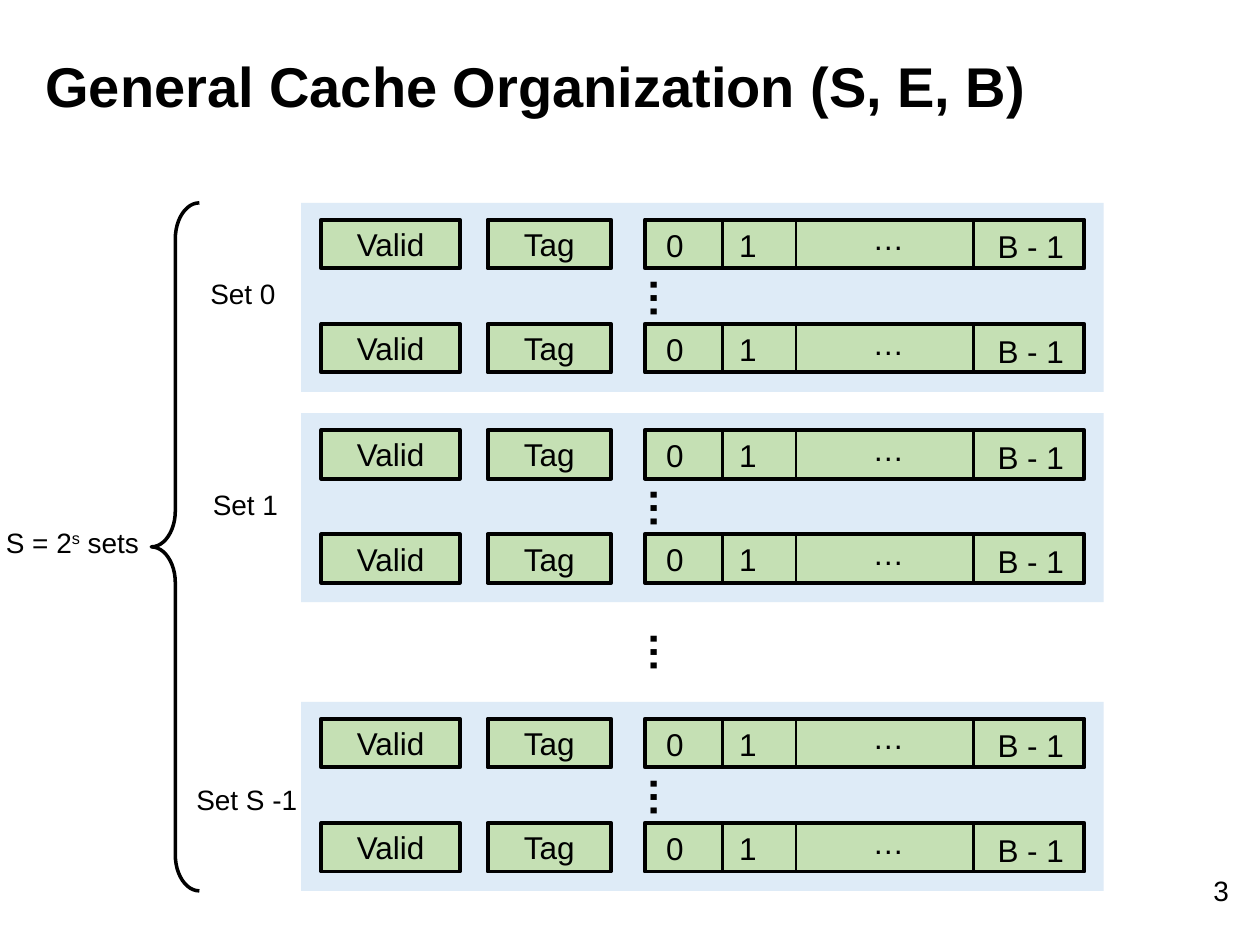
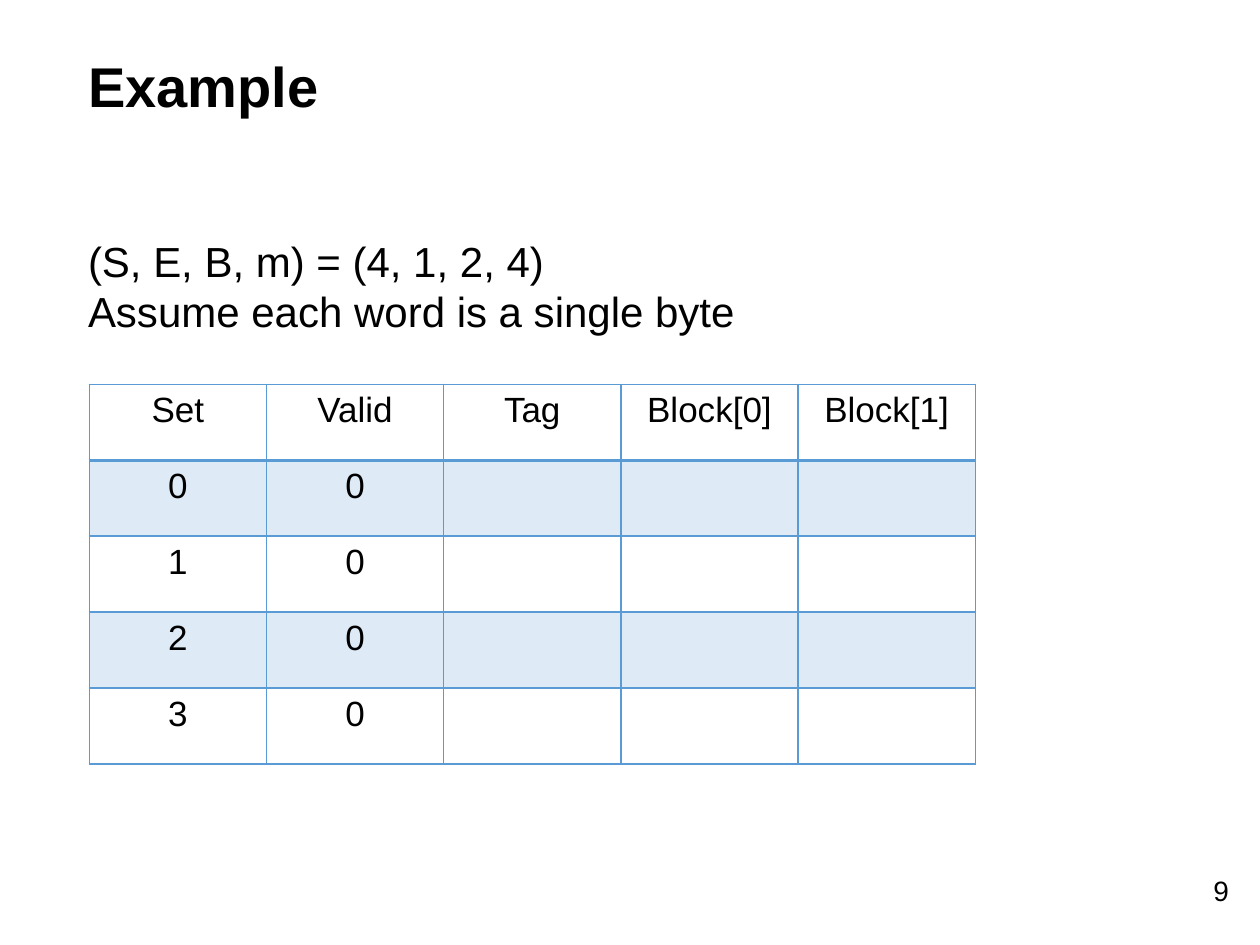
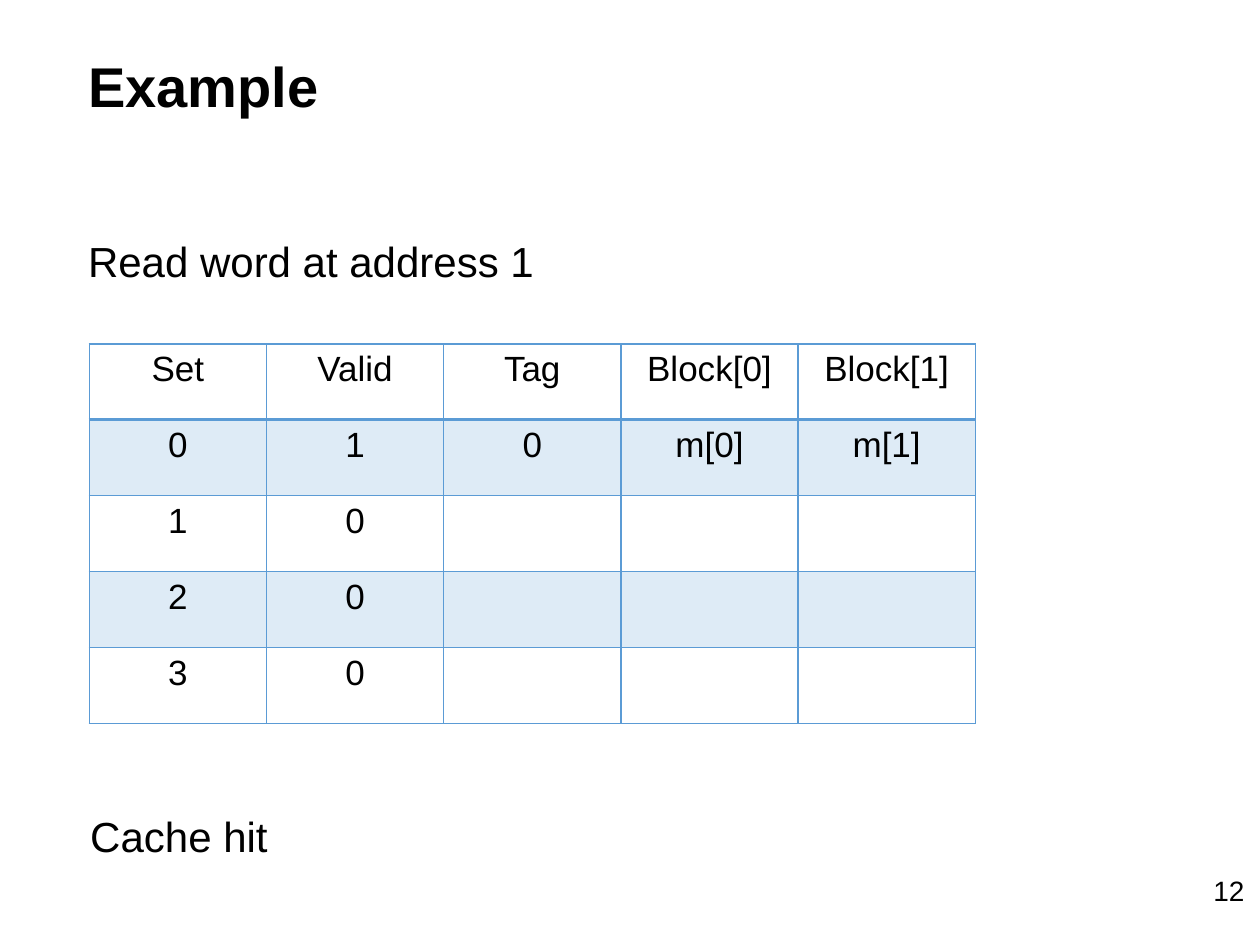
import dataclasses

import lxml.etree
import pptx
import pptx.dml.color
import pptx.enum.shapes
import pptx.enum.text
import pptx.oxml.ns
import pptx.util

Cm = pptx.util.Cm
Pt = pptx.util.Pt
qn = pptx.oxml.ns.qn
ALIGN = pptx.enum.text.PP_ALIGN
ANCHOR = pptx.enum.text.MSO_ANCHOR
SHAPE = pptx.enum.shapes.MSO_SHAPE


@dataclasses.dataclass(frozen=True)
class Theme:
    font: str = "Arial"
    ink: str = "000000"
    set_fill: str = "DEEBF7"
    cell_fill: str = "C5E0B4"
    accent: str = "5B9BD5"
    band_opacity: int = 20
    title: int = 32
    body: int = 24
    table: int = 20
    cell: int = 18
    label: int = 16
    outline: float = 2.25
    brace: float = 2
    divider: float = 1.5


@dataclasses.dataclass(frozen=True)
class Box:
    left: float
    top: float
    width: float
    height: float

    def inside(self, left, top, width, height):
        return Box(self.left + left, self.top + top, width, height)

    def lengths(self):
        return Cm(self.left), Cm(self.top), Cm(self.width), Cm(self.height)


THEME = Theme()
TITLE_ONLY, TITLE_AND_CONTENT = 5, 1
PAGE_NUMBER = Box(24.21, 17.48, 1.19, 0.94)


def rgb(value):
    return pptx.dml.color.RGBColor.from_string(value)


def write_text(frame, text, size, bold=False, align=ALIGN.LEFT,
               anchor=ANCHOR.TOP, wrap=True):
    """Each line is a paragraph; text between carets is raised."""
    frame.word_wrap = wrap
    frame.auto_size = pptx.enum.text.MSO_AUTO_SIZE.NONE
    frame.vertical_anchor = anchor
    for line_index, line in enumerate(text.split("\n")):
        paragraph = frame.add_paragraph() if line_index else frame.paragraphs[0]
        paragraph.alignment = align
        paragraph.space_before = Pt(0)
        properties = paragraph._p.get_or_add_pPr()
        properties.set("marL", "0")
        properties.set("indent", "0")
        lxml.etree.SubElement(properties, qn("a:buNone"))
        for run_index, part in enumerate(line.split("^")):
            run = paragraph.add_run()
            run.text = part
            run.font.name = THEME.font
            run.font.size = Pt(size)
            run.font.bold = bold
            run.font.color.rgb = rgb(THEME.ink)
            if run_index % 2:
                run.font._element.set("baseline", "30000")


def add_label(shapes, box, text, size, rotation=0, **text_format):
    label = shapes.add_textbox(*box.lengths())
    label.rotation = rotation
    write_text(label.text_frame, text, size, **text_format)


def add_vertical_dots(shapes, box):
    add_label(shapes, box, "…", THEME.body, rotation=270, bold=True)


def add_rectangle(shapes, box, fill, outlined=True):
    rectangle = shapes.add_shape(SHAPE.RECTANGLE, *box.lengths())
    rectangle.shadow.inherit = False
    rectangle.fill.solid()
    rectangle.fill.fore_color.rgb = rgb(fill)
    if outlined:
        rectangle.line.color.rgb = rgb(THEME.ink)
        rectangle.line.width = Pt(THEME.outline)
    else:
        rectangle.line.fill.background()
    return rectangle


def add_divider(shapes, box):
    left, top, width, height = box.lengths()
    divider = shapes.add_connector(
        pptx.enum.shapes.MSO_CONNECTOR.STRAIGHT, left, top, left + width, top + height)
    divider.line.color.rgb = rgb(THEME.ink)
    divider.line.width = Pt(THEME.divider)
    lxml.etree.SubElement(divider._element.spPr, qn("a:effectLst"))


def add_block(shapes, box):
    add_rectangle(shapes, box, THEME.cell_fill)
    for left, top in ((1.57, 0), (3.05, 0), (6.63, 0.03)):
        add_divider(shapes, box.inside(left, top, 0, box.height))
    for text, left, top, width in (("0", 0.18, 0, 1.37), ("1", 1.65, 0, 1.37),
                                   ("…", 4.34, -0.13, 1.37), ("B - 1", 6.86, 0.03, 1.85)):
        add_label(shapes, box.inside(left, top, width, 1.02), text, THEME.cell)


def add_cache_line(shapes, box):
    for text, left, width in (("Valid", 0, 2.79), ("Tag", 3.35, 2.49)):
        field = add_rectangle(shapes, box.inside(left, 0, width, box.height), THEME.cell_fill)
        write_text(field.text_frame, text, THEME.cell, align=ALIGN.CENTER,
                   anchor=ANCHOR.MIDDLE)
    add_block(shapes, box.inside(6.52, 0, 8.86, box.height))


def add_cache_set(slide, box):
    shapes = slide.shapes.add_group_shape().shapes
    add_rectangle(shapes, box, THEME.set_fill, outlined=False)
    for top in (0.34, 2.44):
        add_cache_line(shapes, box.inside(0.41, top, 15.38, 0.98))
    add_vertical_dots(shapes, box.inside(6.15, 1.27, 1.37, 1.27))


def add_brace(slide, box):
    brace = slide.shapes.add_shape(SHAPE.LEFT_BRACE, *box.lengths())
    brace.adjustments[0] = 0.75
    brace.adjustments[1] = 0.5
    brace.shadow.inherit = False
    brace.fill.background()
    brace.line.color.rgb = rgb(THEME.ink)
    brace.line.width = Pt(THEME.brace)


def add_cell_borders(cell, **widths):
    properties = cell._tc.get_or_add_tcPr()
    for index, (side, width) in enumerate(widths.items()):
        border = lxml.etree.Element(qn("a:ln" + side), w=str(Pt(width)))
        fill = lxml.etree.SubElement(border, qn("a:solidFill"))
        lxml.etree.SubElement(fill, qn("a:srgbClr"), val=THEME.accent)
        properties.insert(index, border)


def fill_band(cell):
    cell.fill.solid()
    cell.fill.fore_color.rgb = rgb(THEME.accent)
    color = cell._tc.tcPr.find(".//" + qn("a:srgbClr"))
    lxml.etree.SubElement(color, qn("a:alpha"), val=str(THEME.band_opacity * 1000))


def add_cache_table(slide, box, rows):
    table = slide.shapes.add_table(len(rows), len(rows[0]), *box.lengths()).table
    table.first_row = False
    table.horz_banding = False
    for row_index, values in enumerate(rows):
        for column_index, value in enumerate(values):
            cell = table.cell(row_index, column_index)
            if value:
                write_text(cell.text_frame, value, THEME.table, align=ALIGN.CENTER)
            if row_index % 2:
                fill_band(cell)
            else:
                cell.fill.background()
            add_cell_borders(cell, L=1, R=1, T=2 if row_index == 1 else 1,
                             B=2 if row_index == 0 else 1)


def place_placeholder(placeholder, box, text, size, **text_format):
    placeholder.left, placeholder.top, placeholder.width, placeholder.height = box.lengths()
    write_text(placeholder.text_frame, text, size, **text_format)


def add_slide(presentation, layout, title, title_left, number):
    slide = presentation.slides.add_slide(presentation.slide_layouts[layout])
    place_placeholder(slide.shapes.title, Box(title_left, 0.66, 21.08, 2.11), title,
                      THEME.title, bold=True, anchor=ANCHOR.MIDDLE)
    add_label(slide.shapes, PAGE_NUMBER, number, THEME.label)
    return slide


def add_organization_slide(presentation, number):
    slide = add_slide(presentation, TITLE_ONLY, "General Cache Organization (S, E, B)",
                      0.66, number)
    add_brace(slide, Box(3.05, 4.09, 0.97, 13.87))
    for top in (4.09, 8.33, 14.15):
        add_cache_set(slide, Box(6.07, top, 16.18, 3.81))
    add_vertical_dots(slide.shapes, Box(12.22, 12.5, 1.37, 1.27))
    for text, left, top, width in (("S = 2^s^ sets", -0.13, 10.46, 3.38),
                                   ("Set 0", 3.99, 5.46, 1.88),
                                   ("Set 1", 4.04, 9.7, 1.85),
                                   ("Set S -1", 3.71, 15.65, 2.57)):
        add_label(slide.shapes, Box(left, top, width, 0.94), text, THEME.label, wrap=False)


def add_example_slide(presentation, number, statement, body_height, table_top,
                      first_set, result=None):
    slide = add_slide(presentation, TITLE_AND_CONTENT, "Example", 1.52, number)
    place_placeholder(slide.placeholders[1], Box(1.52, 4.62, 21.44, body_height),
                      statement, THEME.body)
    rows = [("Set", "Valid", "Tag", "Block[0]", "Block[1]"), first_set]
    rows += [(str(index), "0", "", "", "") for index in range(1, 4)]
    add_cache_table(slide, Box(1.8, table_top, 17.86, 7.65), rows)
    if result:
        add_label(slide.shapes, Box(1.57, 16.21, 21.44, 1.27), result, THEME.body)


def main():
    presentation = pptx.Presentation()
    presentation.slide_width = Cm(25.4)
    presentation.slide_height = Cm(19.05)
    add_organization_slide(presentation, "3")
    add_example_slide(presentation, "9",
                      "(S, E, B, m) = (4, 1, 2, 4)\nAssume each word is a single byte",
                      2.31, 7.75, ("0", "0", "", "", ""))
    add_example_slide(presentation, "12", "Read word at address 1", 1.27, 6.93,
                      ("0", "1", "0", "m[0]", "m[1]"), result="Cache hit")
    presentation.save("out.pptx")


main()
